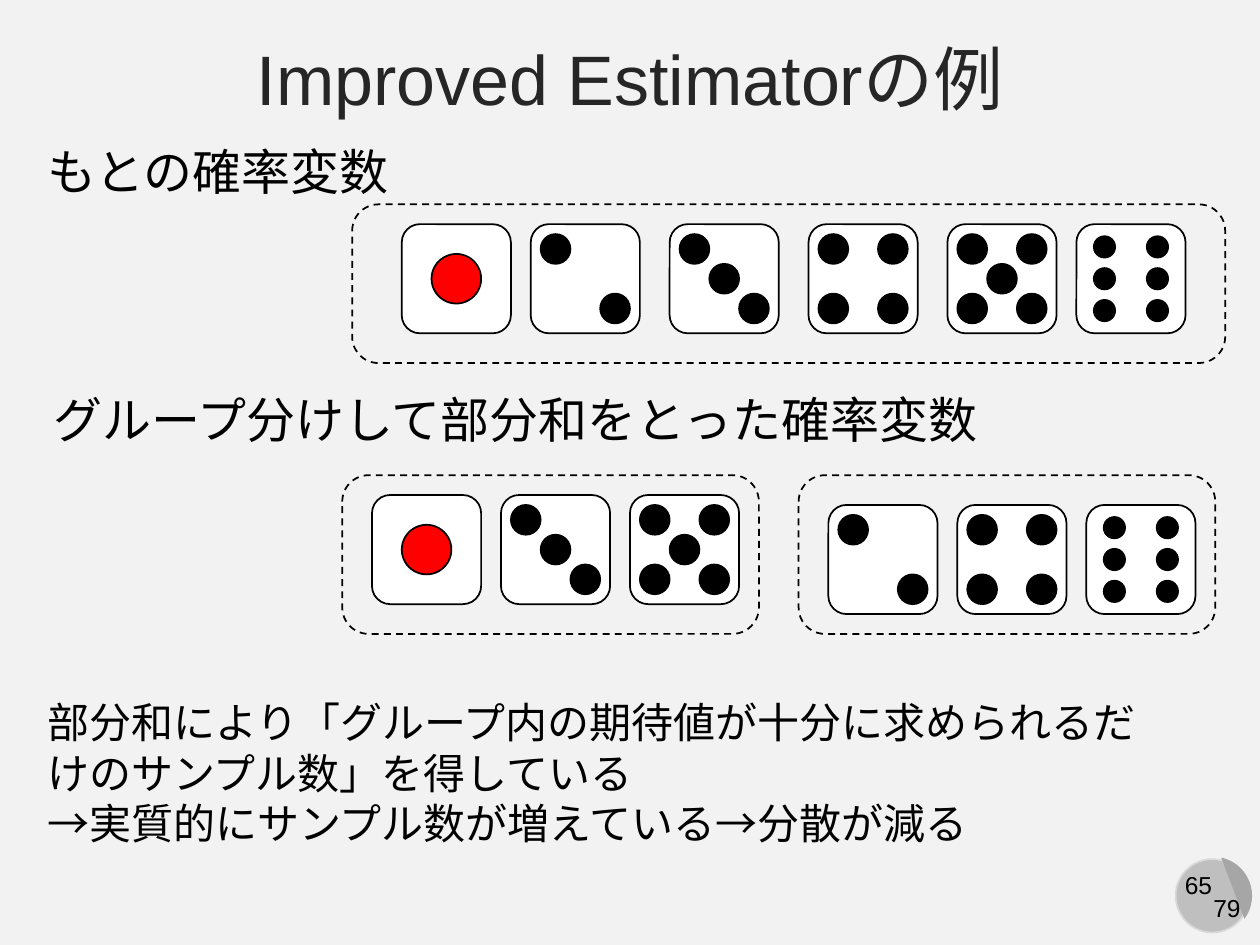
"""Build the slide on dice groups for an improved estimator."""
import dataclasses
import typing

import pptx
import pptx.dml.color
import pptx.enum.dml
import pptx.enum.shapes
import pptx.enum.text
import pptx.util

Cm = pptx.util.Cm
Pt = pptx.util.Pt
KIND = pptx.enum.shapes.MSO_SHAPE
ALIGN = pptx.enum.text.PP_ALIGN
ANCHOR = pptx.enum.text.MSO_ANCHOR

HUES = {
    "back": "F2F2F2", "ink": "000000", "head": "262626", "face": "FFFFFF",
    "red": "FF0000", "disc": "BFBFBF", "rim": "D9D9D9", "chord": "A6A6A6",
}
SIDE = 2.2
STEP = 0.6
SPOT = {1: 1.0, 6: 0.43}
SLANT = [(-1, -1), (1, 1)]
EDGES = SLANT + [(-1, 1), (1, -1)]
PIPS = {
    1: [(0, 0)],
    2: SLANT,
    3: SLANT + [(0, 0)],
    4: EDGES,
    5: EDGES + [(0, 0)],
    6: [(x, y) for x in (-0.89, 0.89) for y in (-1.07, 0, 1.07)],
}


@dataclasses.dataclass
class Box:
    left: float
    top: float
    width: float
    height: float

    def size(self) -> list:
        return [Cm(v) for v in (self.left, self.top, self.width, self.height)]


@dataclasses.dataclass
class Pack:
    frame: Box
    top: float
    dice: dict[int, float]


@dataclasses.dataclass
class Note:
    box: Box
    lines: list[str]
    size: int
    hue: str = "ink"
    align: typing.Any = ALIGN.LEFT
    anchor: typing.Any = ANCHOR.TOP
    wrap: bool = False


PACKS = [
    Pack(Box(7.1, 4.12, 17.6, 3.2), 4.52,
         {1: 8.1, 2: 10.7, 3: 13.5, 4: 16.3, 5: 19.1, 6: 21.7}),
    Pack(Box(6.9, 9.58, 8.4, 3.2), 9.98, {1: 7.5, 3: 10.1, 5: 12.7}),
    Pack(Box(16.1, 9.58, 8.4, 3.2), 10.18, {2: 16.7, 4: 19.3, 6: 21.9}),
]
NOTES = [
    Note(Box(23.6, 17.42, 1.12, 0.86), ["65"], 14, align=ALIGN.CENTER),
    Note(Box(24.2, 17.88, 1.07, 0.86), ["79"], 14, align=ALIGN.CENTER),
    Note(Box(0, 0.53, 25.4, 2.08), ["Improved Estimatorの例"], 40, "head",
         ALIGN.CENTER, ANCHOR.MIDDLE, True),
    Note(Box(0.7, 2.72, 7.5, 1.45), ["もとの確率変数"], 28),
    Note(Box(0.83, 7.72, 19.46, 1.45),
         ["グループ分けして部分和をとった確率変数"], 28),
    Note(Box(0.7, 13.92, 22.8, 3.33),
         ["部分和により「グループ内の期待値が十分に求められるだけのサンプル数」を得している",
          "→実質的にサンプル数が増えている→分散が減る"], 24, wrap=True),
]


def tint(name: str) -> pptx.dml.color.RGBColor:
    return pptx.dml.color.RGBColor.from_string(HUES[name])


def put(item: typing.Any, form: dict[str, typing.Any]) -> None:
    for name, value in form.items():
        setattr(item, name, value)


def draw(shapes: typing.Any, kind: typing.Any, box: Box,
         fill: str | None, line: str | None = "ink") -> typing.Any:
    shape = shapes.add_shape(kind, *box.size())
    shape.shadow.inherit = False
    for part, hue in ((shape.fill, fill), (shape.line.fill, line)):
        if hue:
            part.solid()
            part.fore_color.rgb = tint(hue)
        else:
            part.background()
    if line:
        shape.line.width = Pt(1)
    return shape


def die(shapes: typing.Any, count: int, left: float, top: float) -> None:
    group = shapes.add_group_shape().shapes
    draw(group, KIND.ROUNDED_RECTANGLE, Box(left, top, SIDE, SIDE), "face")
    size = SPOT.get(count, 0.6)
    edge = (SIDE - size) / 2
    for x, y in PIPS[count]:
        spot = Box(left + edge + x * STEP, top + edge + y * STEP, size, size)
        draw(group, KIND.OVAL, spot, "red" if count == 1 else "ink")


def pack(shapes: typing.Any, item: Pack) -> None:
    for count, left in item.dice.items():
        die(shapes, count, left, item.top)
    frame = draw(shapes, KIND.ROUNDED_RECTANGLE, item.frame, None)
    frame.line.dash_style = pptx.enum.dml.MSO_LINE.DASH


def write(shapes: typing.Any, note: Note) -> None:
    text = shapes.add_textbox(*note.box.size()).text_frame
    put(text, {"word_wrap": note.wrap, "vertical_anchor": note.anchor,
               "text": "\n".join(note.lines)})
    for para in text.paragraphs:
        para.alignment = note.align
        for run in para.runs:
            put(run.font, {"name": "Arial", "size": Pt(note.size)})
            run.font.color.rgb = tint(note.hue)


def badge(shapes: typing.Any) -> None:
    draw(shapes, KIND.OVAL, Box(23.7, 17.32, 1.48, 1.48), "disc", "rim")
    chord = draw(shapes, KIND.CHORD, Box(23.67, 17.27, 1.57, 1.57),
                 "chord", None)
    chord.rotation = 255
    chord.adjustments[0] = 16.2
    chord.adjustments[1] = 84.85


def main() -> None:
    deck = pptx.Presentation()
    put(deck, {"slide_width": Cm(25.4), "slide_height": Cm(19.05)})
    slide = deck.slides.add_slide(deck.slide_layouts[6])
    slide.background.fill.solid()
    slide.background.fill.fore_color.rgb = tint("back")
    badge(slide.shapes)
    for item in PACKS:
        pack(slide.shapes, item)
    for note in NOTES:
        write(slide.shapes, note)
    deck.save("out.pptx")


if __name__ == "__main__":
    main()
